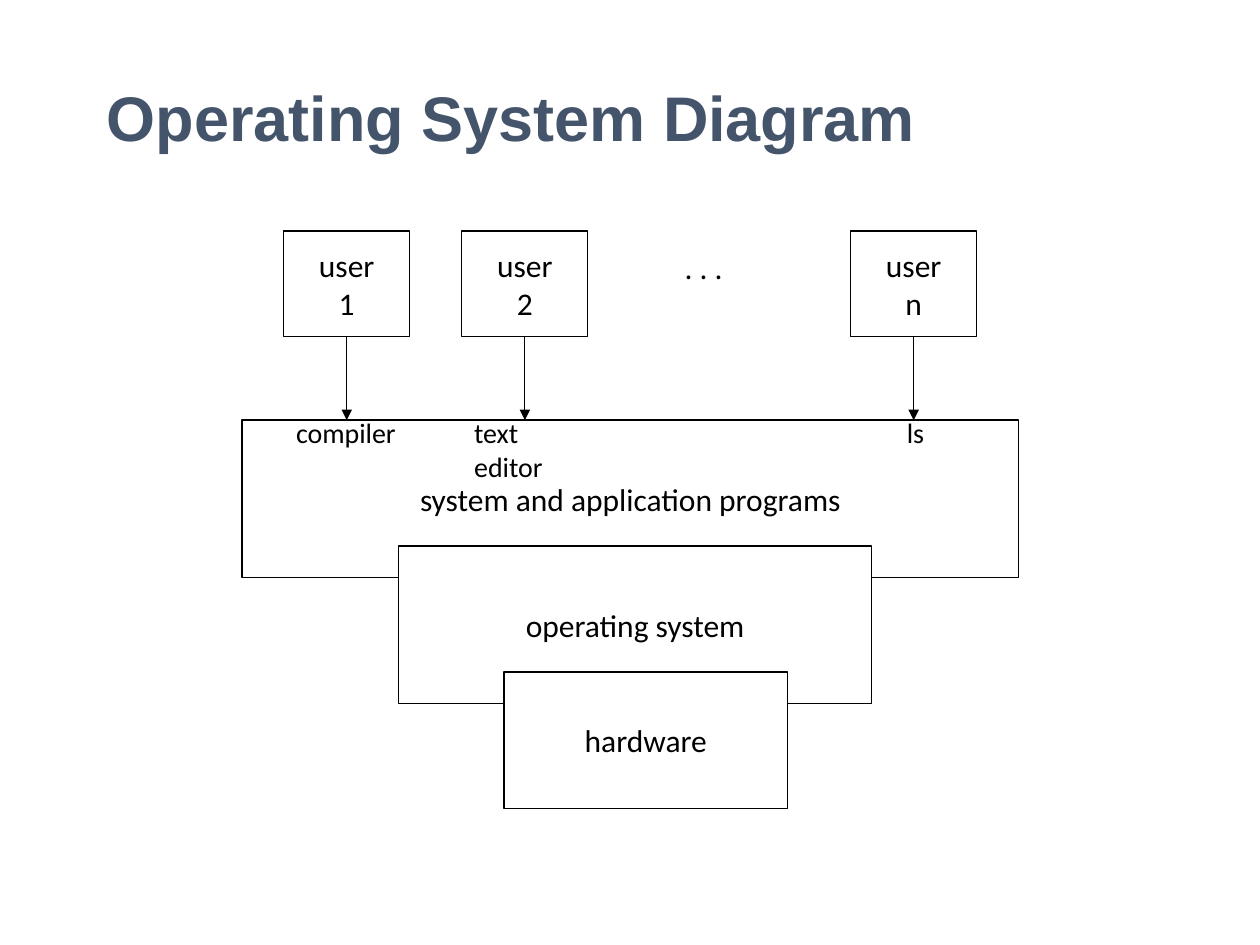
from lxml import etree
from pptx import Presentation
from pptx import util as u
from pptx.dml.color import RGBColor
from pptx.enum import shapes, text
from pptx.oxml.ns import qn

BLACK = RGBColor(0x00, 0x00, 0x00)
WHITE = RGBColor(0xFF, 0xFF, 0xFF)
SLATE = RGBColor(0x44, 0x54, 0x6A)

USER_TOP, USER_W, USER_H = 4.66, 2.54, 2.12
PROGRAMS_TOP = 8.47
LABEL_TOP = 8.26
TIER_STEP = 2.54


def write(tf, content, size=18, font="Calibri", color=BLACK, bold=False,
          align=text.PP_ALIGN.LEFT, anchor=text.MSO_ANCHOR.TOP, wrap=False,
          spacing=None):
    """Fill a text frame; each line of content becomes a paragraph."""
    tf.text = content
    tf.word_wrap = wrap
    tf.vertical_anchor = anchor
    for p in tf.paragraphs:
        p.alignment = align
        p.line_spacing = spacing
        f = p.runs[0].font
        f.name, f.size, f.bold = font, u.Pt(size), bold
        f.color.rgb = color


def add_title(s, content):
    sp = s.shapes.title
    sp.left, sp.top = u.Cm(1.9), u.Cm(1.7)
    sp.width, sp.height = u.Cm(21.59), u.Cm(1.47)
    write(sp.text_frame, content, size=36, font="Arial", color=SLATE,
          bold=True, anchor=text.MSO_ANCHOR.MIDDLE, wrap=True, spacing=0.9)


def add_box(s, content, left, top, width, height):
    sp = s.shapes.add_shape(shapes.MSO_SHAPE.RECTANGLE, u.Cm(left), u.Cm(top),
                            u.Cm(width), u.Cm(height))
    sp.shadow.inherit = False
    sp.fill.solid()
    sp.fill.fore_color.rgb = WHITE
    sp.line.color.rgb = BLACK
    sp.line.width = u.Pt(0.75)
    write(sp.text_frame, content, align=text.PP_ALIGN.CENTER,
          anchor=text.MSO_ANCHOR.MIDDLE)
    return sp


def add_label(s, content, left, top, width, height, indent=0.25, **fmt):
    sp = s.shapes.add_textbox(u.Cm(left), u.Cm(top), u.Cm(width), u.Cm(height))
    sp.text_frame.margin_left = u.Cm(indent)
    write(sp.text_frame, content, **fmt)


def add_arrow_down(s, box, bottom):
    """Draw an arrow from the bottom of a box to a given height."""
    x = box.left + box.width // 2
    cx = s.shapes.add_connector(shapes.MSO_CONNECTOR.STRAIGHT, x,
                                box.top + box.height, x, u.Cm(bottom))
    cx.begin_connect(box, 2)
    cx.line.color.rgb = BLACK
    cx.line.width = u.Pt(0.75)
    etree.SubElement(cx.line._get_or_add_ln(), qn("a:tailEnd"), type="triangle")
    etree.SubElement(cx._element.spPr, qn("a:effectLst"))


def main():
    prs = Presentation()
    prs.slide_width, prs.slide_height = u.Cm(25.4), u.Cm(19.05)
    s = prs.slides.add_slide(prs.slide_layouts[5])
    add_title(s, "Operating System Diagram")

    tiers = [
        ("system and application programs", 4.88, 15.66, 3.18),
        ("operating system", 8.04, 9.53, 3.18),
        ("hardware", 10.16, 5.72, 2.75),
    ]
    for i, (name, left, width, height) in enumerate(tiers):
        add_box(s, name, left, PROGRAMS_TOP + i * TIER_STEP, width, height)

    for user, left in (("1", 5.72), ("2", 9.31), ("n", 17.15)):
        box = add_box(s, f"user\n{user}", left, USER_TOP, USER_W, USER_H)
        add_arrow_down(s, box, PROGRAMS_TOP)

    add_label(s, ". . .", 13.55, 4.87, 1.57, 1.27)
    add_label(s, "compiler", 5.72, LABEL_TOP, 2.51, 0.94, size=16)
    add_label(s, "text editor", 9.31, LABEL_TOP, 2.82, 0.94, size=16, wrap=True)
    add_label(s, "ls", 17.78, LABEL_TOP, 1.17, 0.94, indent=0.5, size=16,
              wrap=True)

    prs.save("out.pptx")


if __name__ == "__main__":
    main()
